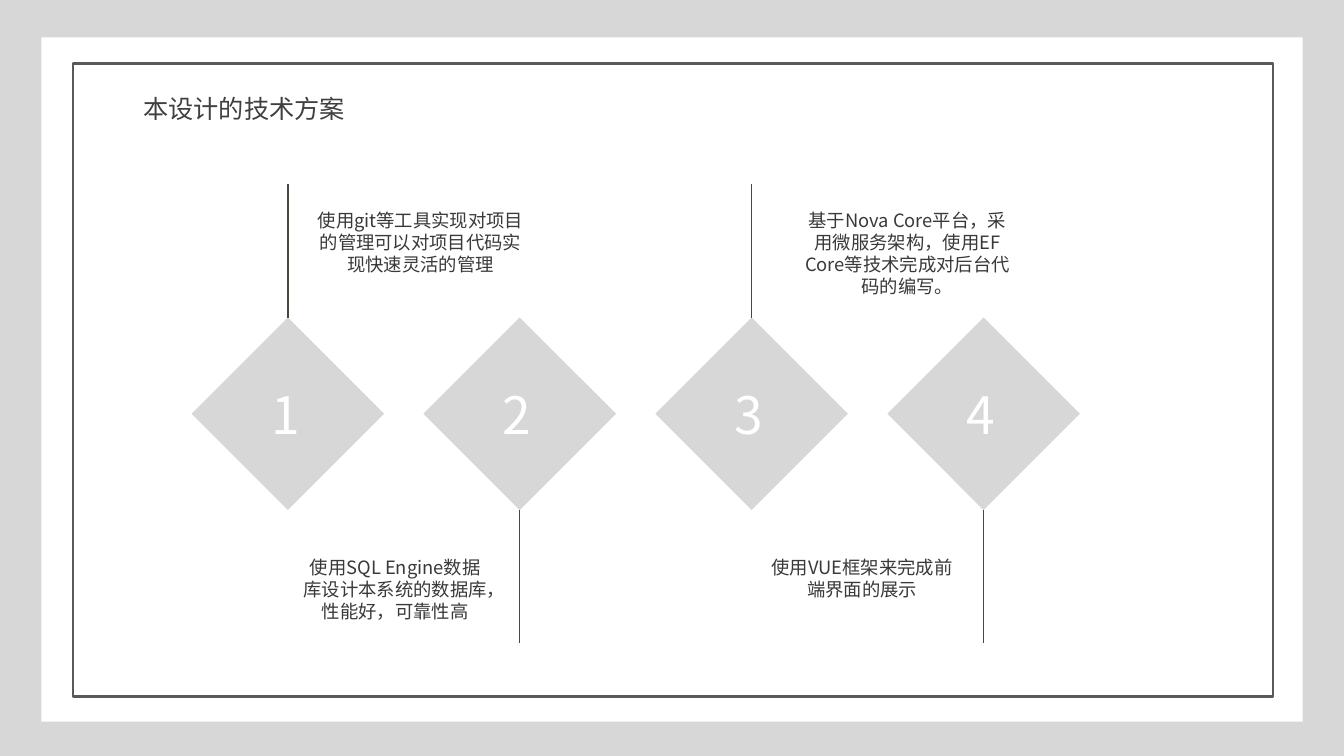
from pptx import Presentation
from pptx.dml.color import RGBColor
from pptx.enum.shapes import MSO_CONNECTOR, MSO_SHAPE
from pptx.enum.text import MSO_ANCHOR, MSO_AUTO_SIZE, PP_ALIGN
from pptx.oxml.ns import qn
from pptx.util import Inches, Pt
from lxml.etree import SubElement

FONT = "Noto Sans CJK SC"
COLORS = {
    "gray": "D7D7D7",
    "white": "FFFFFF",
    "frame": "595959",
    "stem": "4F4439",
    "body": "3B3838",
    "title": "404040",
}
# Text and box (left, top, width, height) of each step
STEPS = [
    ("使用git等工具实现对项目的管理可以对项目代码实现快速灵活的管理",
     (3.01, 2.03, 2.32, 0.76)),
    ("使用SQL Engine数据库设计本系统的数据库，性能好，可靠性高",
     (2.89, 5.47, 2.06, 0.76)),
    ("基于Nova Core平台，采用微服务架构，使用EF Core等技术完成对后台代码的编写。",
     (7.85, 2.03, 2.3, 0.99)),
    ("使用VUE框架来完成前端界面的展示",
     (7.54, 5.47, 2.02, 0.54)),
]
LEFT, TOP, SIZE, PITCH = 1.9, 3.15, 1.91, 2.3
STEM = 1.32


def color(name):
    return RGBColor.from_string(COLORS[name])


def add_block(slide, kind, box, fill=None, line=None):
    shape = slide.shapes.add_shape(kind, *map(Inches, box))
    shape.shadow.inherit = False
    if fill:
        shape.fill.solid()
        shape.fill.fore_color.rgb = color(fill)
    else:
        shape.fill.background()
    if line:
        shape.line.color.rgb = color(line)
        shape.line.width = Pt(1.5)
    else:
        shape.line.fill.background()


def add_stem(slide, x, start, end):
    stem = slide.shapes.add_connector(
        MSO_CONNECTOR.STRAIGHT, *map(Inches, (x, start, x, end)))
    stem.line.color.rgb = color("stem")
    stem.line.width = Pt(1)
    SubElement(stem.element.spPr, qn("a:effectLst"))


def set_text(shape, text, size, tint, align=PP_ALIGN.LEFT, wrap=True):
    frame = shape.text_frame
    frame.text = text
    frame.word_wrap = wrap
    frame.auto_size = MSO_AUTO_SIZE.SHAPE_TO_FIT_TEXT
    frame.vertical_anchor = MSO_ANCHOR.TOP
    para = frame.paragraphs[0]
    para.alignment = align
    para.font.size = Pt(size)
    para.font.name = FONT
    para.font.color.rgb = color(tint)
    # Chinese glyphs take their font from a:ea
    for latin in list(shape.element.iter(qn("a:latin"))):
        east = SubElement(latin.getparent(), qn("a:ea"), typeface=FONT)
        latin.addnext(east)
    return para


def add_text(slide, box, *args, **opts):
    shape = slide.shapes.add_textbox(*map(Inches, box))
    return set_text(shape, *args, **opts)


def add_title(slide, text):
    title = slide.shapes.title
    title.left, title.top, title.width, title.height = map(
        Inches, (1.34, 0.89, 2.47, 0.38))
    set_text(title, text, 18, "title")
    frame = title.text_frame
    frame.margin_left = frame.margin_right = Inches(0.08)
    frame.margin_top = frame.margin_bottom = Inches(0.04)
    # Bring the title in front of the panels
    slide.shapes.element.append(title.element)


def add_step(slide, index, text, box):
    left = LEFT + index * PITCH
    mid = left + SIZE / 2
    add_block(slide, MSO_SHAPE.DIAMOND, (left, TOP, SIZE, SIZE), "gray")
    # Odd steps point up, even steps point down
    if index % 2 == 0:
        add_stem(slide, mid, TOP, TOP - STEM)
    else:
        add_stem(slide, mid, TOP + SIZE + STEM, TOP + SIZE)
    add_text(slide, (left + 0.69, 3.75, 0.49, 0.72), str(index + 1),
             36.8, "white", wrap=False)
    para = add_text(slide, box, text, 13.1, "body", align=PP_ALIGN.CENTER)
    para.space_before = Pt(7.9)


def main():
    deck = Presentation()
    deck.slide_width, deck.slide_height = Inches(13.33), Inches(7.5)
    slide = deck.slides.add_slide(deck.slide_layouts[5])

    # Backdrop, page and frame
    rect = MSO_SHAPE.RECTANGLE
    add_block(slide, rect, (0, 0, 13.33, 7.54), "gray")
    add_block(slide, rect, (0.41, 0.37, 12.51, 6.79), "white")
    add_block(slide, rect, (0.72, 0.63, 11.91, 6.28), line="frame")

    # Steps and title
    for index, (text, box) in enumerate(STEPS):
        add_step(slide, index, text, box)
    add_title(slide, "本设计的技术方案")
    deck.save("out.pptx")


if __name__ == "__main__":
    main()
